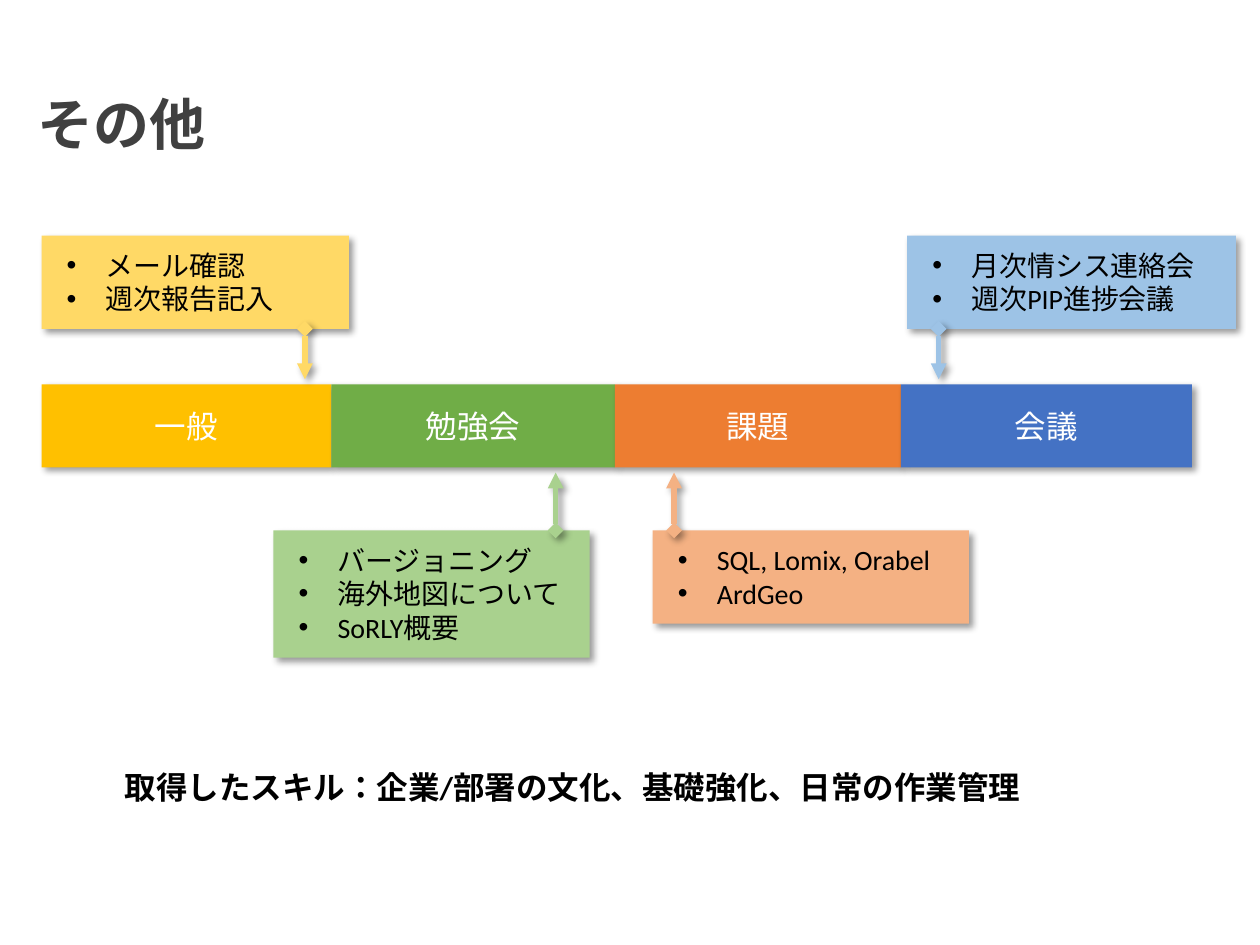
from lxml import etree
from pptx import Presentation
from pptx.dml.color import RGBColor
from pptx.enum.lang import MSO_LANGUAGE_ID
from pptx.enum.shapes import MSO_CONNECTOR, MSO_SHAPE
from pptx.enum.text import MSO_ANCHOR, PP_ALIGN
from pptx.oxml.ns import qn
from pptx.util import Inches, Pt

RECTANGLE = MSO_SHAPE.RECTANGLE
STRAIGHT = MSO_CONNECTOR.STRAIGHT
LEFT, CENTER = PP_ALIGN.LEFT, PP_ALIGN.CENTER
TOP, MIDDLE, BOTTOM = MSO_ANCHOR.TOP, MSO_ANCHOR.MIDDLE, MSO_ANCHOR.BOTTOM
JAPANESE = MSO_LANGUAGE_ID.JAPANESE

BLACK = RGBColor(0x00, 0x00, 0x00)
WHITE = RGBColor(0xFF, 0xFF, 0xFF)
DARK_GRAY = RGBColor(0x40, 0x40, 0x40)
GOLD, LIGHT_GOLD = RGBColor(0xFF, 0xC0, 0x00), RGBColor(0xFF, 0xD9, 0x66)
GREEN, LIGHT_GREEN = RGBColor(0x70, 0xAD, 0x47), RGBColor(0xA9, 0xD1, 0x8E)
ORANGE, LIGHT_ORANGE = RGBColor(0xED, 0x7D, 0x31), RGBColor(0xF4, 0xB1, 0x83)
BLUE, LIGHT_BLUE = RGBColor(0x44, 0x72, 0xC4), RGBColor(0x9D, 0xC3, 0xE6)
JAPANESE_FONT = "Noto Sans CJK JP"

# Content
TITLE = "その他"
SUMMARY = "取得したスキル：企業/部署の文化、基礎強化、日常の作業管理"
# label, colour, left edge
SEGMENTS = [
    ("一般", GOLD, 0.33),
    ("勉強会", GREEN, 2.63),
    ("課題", ORANGE, 4.88),
    ("会議", BLUE, 7.15),
]
# items, colour, left, width, arrow x, above the bar
CALLOUTS = [
    (["バージョニング", "海外地図について", "SoRLY概要"], LIGHT_GREEN, 2.17, 2.51, 4.41, False),
    (["SQL, Lomix, Orabel", "ArdGeo"], LIGHT_ORANGE, 5.18, 2.51, 5.35, False),
    (["月次情シス連絡会", "週次PIP進捗会議"], LIGHT_BLUE, 7.2, 2.61, 7.45, True),
    (["メール確認", "週次報告記入"], LIGHT_GOLD, 0.33, 2.44, 2.42, True),
]

# Layout in inches
BAR_TOP, BAR_HEIGHT, BAR_RIGHT = 3.05, 0.66, 9.46
UPPER_BOTTOM, LOWER_TOP = 2.61, 4.21
ARROW_GAP = 0.04
LINE_HEIGHT, MARGIN_X, MARGIN_Y, INDENT = 0.27, 0.2, 0.1, 0.31


def add_shadow(shape):
    effects = etree.SubElement(shape._element.spPr, qn("a:effectLst"))
    shadow = etree.SubElement(
        effects, qn("a:outerShdw"), blurRad=str(Pt(4)), dist=str(Pt(3)),
        dir=str(45 * 60000), algn="tl", rotWithShape="0")
    color = etree.SubElement(shadow, qn("a:srgbClr"), val="000000")
    etree.SubElement(color, qn("a:alpha"), val="40000")


def style_paragraph(paragraph, font_name, size, color, alignment=LEFT, bold=False):
    paragraph.alignment = alignment
    font = paragraph.font
    font.name, font.size, font.bold = font_name, Pt(size), bold
    font.color.rgb = color
    etree.SubElement(font._element, qn("a:ea"), typeface=JAPANESE_FONT)
    for run in paragraph.runs:
        run.font.language_id = JAPANESE


def add_bullet(paragraph):
    properties = paragraph._p.get_or_add_pPr()
    properties.set("marL", str(Inches(INDENT)))
    properties.set("indent", str(-Inches(INDENT)))
    etree.SubElement(properties, qn("a:buFont"), typeface="Arial")
    etree.SubElement(properties, qn("a:buChar"), char="•")


def add_box(slide, left, top, width, height, color, anchor):
    box = slide.shapes.add_shape(
        RECTANGLE, Inches(left), Inches(top), Inches(width), Inches(height))
    box.fill.solid()
    box.fill.fore_color.rgb = color
    box.line.fill.background()
    add_shadow(box)
    box.text_frame.word_wrap = True
    box.text_frame.vertical_anchor = anchor
    return box.text_frame


def add_arrow(slide, x, start, end, color):
    arrow = slide.shapes.add_connector(
        STRAIGHT, Inches(x), Inches(start), Inches(x), Inches(end))
    arrow.line.color.rgb = color
    arrow.line.width = Pt(3)
    line = arrow.line._get_or_add_ln()
    etree.SubElement(line, qn("a:headEnd"), type="diamond")
    etree.SubElement(line, qn("a:tailEnd"), type="triangle")
    add_shadow(arrow)


def add_callout(slide, items, color, left, width, arrow_x, above):
    height = 2 * MARGIN_Y + LINE_HEIGHT * len(items)
    top = UPPER_BOTTOM - height if above else LOWER_TOP
    frame = add_box(slide, left, top, width, height, color, TOP)
    frame.margin_left = frame.margin_right = Inches(MARGIN_X)
    frame.margin_top = frame.margin_bottom = Inches(MARGIN_Y)
    frame.text = "\n".join(items)
    for paragraph in frame.paragraphs:
        add_bullet(paragraph)
        style_paragraph(paragraph, "Calibri", 16, BLACK)
    if above:
        add_arrow(slide, arrow_x, UPPER_BOTTOM, BAR_TOP - ARROW_GAP, color)
    else:
        add_arrow(slide, arrow_x, LOWER_TOP, BAR_TOP + BAR_HEIGHT + ARROW_GAP, color)


def main():
    presentation = Presentation()
    presentation.slide_width, presentation.slide_height = Inches(10), Inches(7.5)
    slide = presentation.slides.add_slide(presentation.slide_layouts[5])

    # Title
    title = slide.shapes.title
    title.left, title.top = Inches(0), Inches(0.11)
    title.width, title.height = Inches(8.92), Inches(1.19)
    title.text_frame.text = TITLE
    title.text_frame.margin_left = Inches(0.3)
    title.text_frame.vertical_anchor = BOTTOM
    heading = title.text_frame.paragraphs[0]
    heading.line_spacing = 0.9
    style_paragraph(heading, JAPANESE_FONT, 32, DARK_GRAY, bold=True)

    # Bar of categories
    edges = [left for _, _, left in SEGMENTS] + [BAR_RIGHT]
    for (label, color, left), right in zip(SEGMENTS, edges[1:]):
        frame = add_box(slide, left, BAR_TOP, right - left, BAR_HEIGHT, color, MIDDLE)
        frame.text = label
        style_paragraph(frame.paragraphs[0], "Arial Narrow", 18, WHITE, CENTER)

    # Callouts with arrows to the bar
    for callout in CALLOUTS:
        add_callout(slide, *callout)

    # Summary line
    summary = slide.shapes.add_textbox(
        Inches(0.89), Inches(6.05), Inches(8.49), Inches(0.4)).text_frame
    summary.word_wrap = True
    summary.text = SUMMARY
    style_paragraph(summary.paragraphs[0], "Calibri", 18, BLACK, bold=True)

    presentation.save("out.pptx")


if __name__ == "__main__":
    main()
